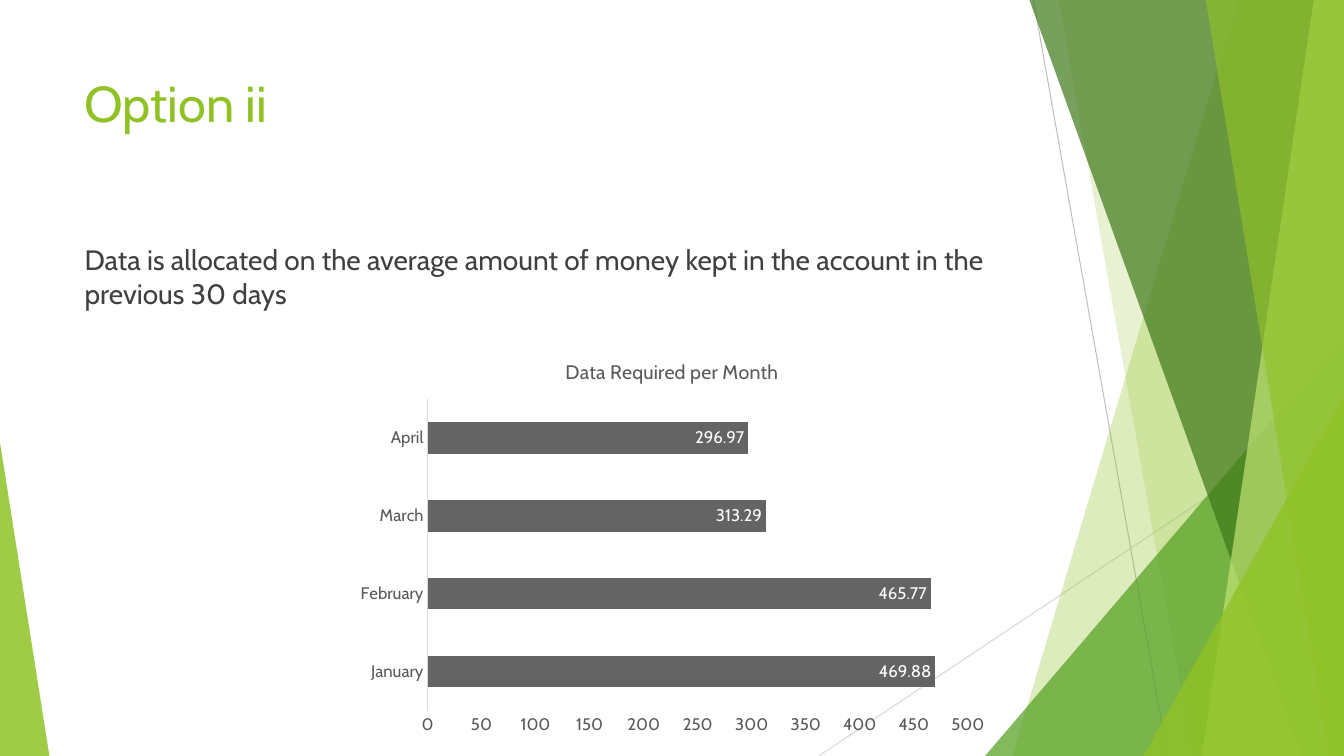
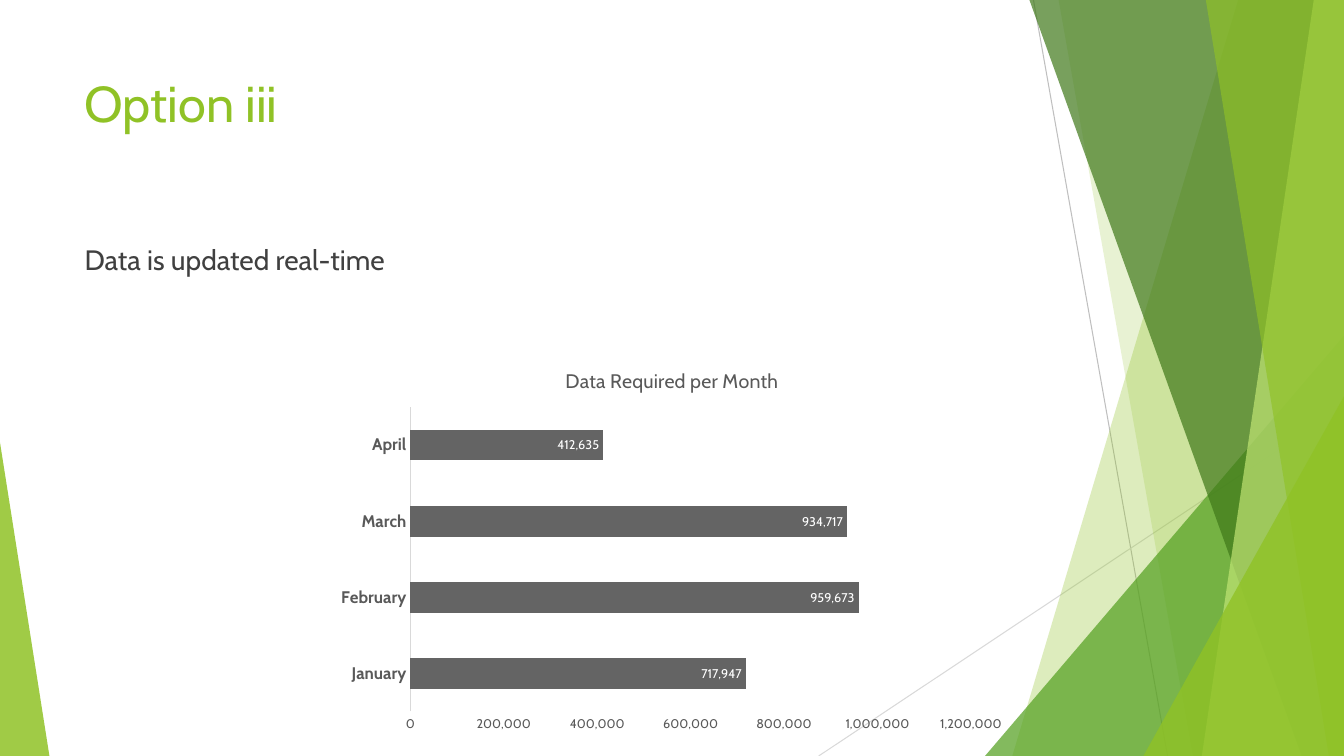
from dataclasses import dataclass

from lxml import etree
from pptx import Presentation
from pptx.chart.data import CategoryChartData
from pptx.dml.color import RGBColor
from pptx.enum import chart as ch, shapes as sh
from pptx.oxml.ns import qn
from pptx.util import Inches, Pt

LIME = RGBColor(0x90, 0xC2, 0x26)
GREEN = RGBColor(0x54, 0xA0, 0x21)
PINE = RGBColor(0x3F, 0x78, 0x19)
PALE = RGBColor(0xC0, 0xE4, 0x74)
INK = RGBColor(0x40, 0x40, 0x40)
GRAY = RGBColor(0x59, 0x59, 0x59)
BAR = RGBColor(0x64, 0x64, 0x64)
RULE = RGBColor(0xBF, 0xBF, 0xBF)
FAINT = RGBColor(0xD9, 0xD9, 0xD9)
WHITE = RGBColor(0xFF, 0xFF, 0xFF)
FONT = "Cabin"
WIDE, HIGH = 13.33, 7.5
MONTHS = ("January", "February", "March", "April")


@dataclass(frozen=True)
class Box:
    left: float
    top: float
    width: float
    height: float

    def place(self) -> tuple:
        return tuple(map(Inches, (self.left, self.top, self.width, self.height)))


@dataclass(frozen=True)
class Line:
    start: tuple[float, float]
    end: tuple[float, float]
    color: RGBColor


@dataclass(frozen=True)
class Band:
    """Full-height band between a slanted edge and the right side of the slide."""
    top: float
    foot: float
    color: RGBColor
    alpha: int


@dataclass(frozen=True)
class Wedge:
    """Right triangle on the foot of the slide, with its peak at 0 (left) or 1 (right)."""
    left: float
    top: float
    width: float
    peak: int
    color: RGBColor
    alpha: int


@dataclass(frozen=True)
class Page:
    title: str
    body: str
    frame: Box
    plot: Box
    values: tuple
    limit: int
    step: int
    form: str
    size: int
    bold: bool


LINES = (
    Line((10.25, 0), (11.58, HIGH), RULE),
    Line((WIDE, 4.03), (8.12, HIGH), FAINT),
)
DECOR = (
    Band(12.28, 10.04, LIME, 30),
    Band(10.5, 11.83, LIME, 20),
    Wedge(9.77, 3.33, 3.56, 1, GREEN, 72),
    Band(10.21, 12.91, PINE, 70),
    Band(13.03, 11.92, PALE, 70),
    Band(11.96, 13.18, LIME, 65),
    Wedge(11.34, 3.93, 1.99, 1, LIME, 80),
    Wedge(0, 4.39, 0.49, 0, LIME, 85),
)
PAGES = (
    Page("Option ii",
         "Data is allocated on the average amount of money kept in the account "
         "in the previous 30 days",
         Box(3.44, 3.39, 6.45, 3.98), Box(4.24, 3.96, 5.36, 3.09),
         (469.88, 465.77, 313.29, 296.97), 500, 50, "General", 12, False),
    Page("Option iii", "Data is updated real-time",
         Box(3.25, 3.48, 6.83, 3.85), Box(4.07, 4.04, 5.56, 3.02),
         (717947, 959673, 934717, 412635), 1200000, 200000, "#,##0", 9, True),
)


def style(font, size: float, color: RGBColor, bold: bool = False) -> None:
    font.name, font.size, font.bold = FONT, Pt(size), bold
    font.color.rgb = color


def paint(shape, color: RGBColor, alpha: int) -> None:
    shape.shadow.inherit = False
    shape.line.fill.background()
    shape.fill.solid()
    shape.fill.fore_color.rgb = color
    tint = shape._element.spPr.find(qn("a:solidFill"))[0]
    etree.SubElement(tint, qn("a:alpha")).set("val", str(alpha * 1000))


def add_line(slide, line: Line) -> None:
    rule = slide.shapes.add_connector(
        sh.MSO_CONNECTOR.STRAIGHT, *map(Inches, line.start + line.end))
    rule.line.color.rgb = line.color
    rule.line.width = Pt(0.75)
    etree.SubElement(rule._element.spPr, qn("a:effectLst"))


def add_band(slide, band: Band) -> None:
    pen = slide.shapes.build_freeform(Inches(band.top), 0)
    edge = ((WIDE, 0), (WIDE, HIGH), (band.foot, HIGH))
    pen.add_line_segments([(Inches(x), Inches(y)) for x, y in edge], close=True)
    paint(pen.convert_to_shape(), band.color, band.alpha)


def add_wedge(slide, wedge: Wedge) -> None:
    box = Box(wedge.left, wedge.top, wedge.width, HIGH - wedge.top)
    shape = slide.shapes.add_shape(
        sh.MSO_SHAPE.ISOSCELES_TRIANGLE, *box.place())
    shape.adjustments[0] = wedge.peak
    paint(shape, wedge.color, wedge.alpha)


def add_decor(slide) -> None:
    for line in LINES:
        add_line(slide, line)
    for part in DECOR:
        if isinstance(part, Band):
            add_band(slide, part)
        else:
            add_wedge(slide, part)


def add_text(slide, box: Box, words: str, size: int, color: RGBColor,
             before: int = 0) -> None:
    frame = slide.shapes.add_textbox(*box.place()).text_frame
    frame.word_wrap = True
    para = frame.paragraphs[0]
    para.space_before = Pt(before)
    run = para.add_run()
    run.text = words
    style(run.font, size, color)


def fix_plot(chart, frame: Box, plot: Box) -> None:
    """Pin the inner plot area to a place on the slide."""
    area = chart._chartSpace.find(".//" + qn("c:plotArea"))
    for old in area.findall(qn("c:layout")):
        area.remove(old)
    layout = etree.Element(qn("c:layout"))
    area.insert(0, layout)
    manual = etree.SubElement(layout, qn("c:manualLayout"))
    marks = {
        "layoutTarget": "inner", "xMode": "edge", "yMode": "edge",
        "x": (plot.left - frame.left) / frame.width,
        "y": (plot.top - frame.top) / frame.height,
        "w": plot.width / frame.width,
        "h": plot.height / frame.height,
    }
    for tag, value in marks.items():
        etree.SubElement(manual, qn("c:" + tag)).set("val", str(value))


def add_chart(slide, page: Page) -> None:
    data = CategoryChartData(number_format=page.form)
    data.categories = MONTHS
    data.add_series("Series 1", page.values)
    chart = slide.shapes.add_chart(
        ch.XL_CHART_TYPE.BAR_STACKED, *page.frame.place(), data).chart
    style(chart.font, page.size, GRAY)
    chart.has_legend = False
    chart.has_title = True
    run = chart.chart_title.text_frame.paragraphs[0].add_run()
    run.text = "Data Required per Month"
    style(run.font, 14, GRAY)
    chart.chart_title.include_in_layout = False

    for axis in (chart.category_axis, chart.value_axis):
        axis.major_tick_mark = axis.minor_tick_mark = ch.XL_TICK_MARK.NONE
        axis.has_major_gridlines = False
    months, scale = chart.category_axis, chart.value_axis
    style(months.tick_labels.font, 12, GRAY, page.bold)
    months.format.line.color.rgb = FAINT
    months.format.line.width = Pt(0.75)
    style(scale.tick_labels.font, page.size, GRAY)
    scale.tick_labels.number_format = page.form
    scale.tick_labels.number_format_is_linked = False
    scale.format.line.fill.background()
    scale.minimum_scale, scale.maximum_scale = 0, page.limit
    scale.major_unit = page.step

    bars = chart.plots[0]
    bars.gap_width, bars.overlap = 150, 100
    bars.vary_by_categories = False
    fill = bars.series[0].format.fill
    fill.solid()
    fill.fore_color.rgb = BAR
    labels = bars.series[0].data_labels
    labels.show_value = True
    labels.position = ch.XL_LABEL_POSITION.INSIDE_END
    labels.number_format = page.form
    labels.number_format_is_linked = False
    style(labels.font, page.size, WHITE)
    fix_plot(chart, page.frame, page.plot)


def main() -> None:
    deck = Presentation()
    deck.slide_width, deck.slide_height = Inches(WIDE), Inches(HIGH)
    for page in PAGES:
        slide = deck.slides.add_slide(deck.slide_layouts[6])
        add_decor(slide)
        add_text(slide, Box(0.74, 0.67, 9.4, 1.44), page.title, 36, LIME)
        add_text(slide, Box(0.74, 2.36, 9.4, 4.24), page.body, 20, INK, 10)
        add_chart(slide, page)
    deck.save("out.pptx")


if __name__ == "__main__":
    main()
